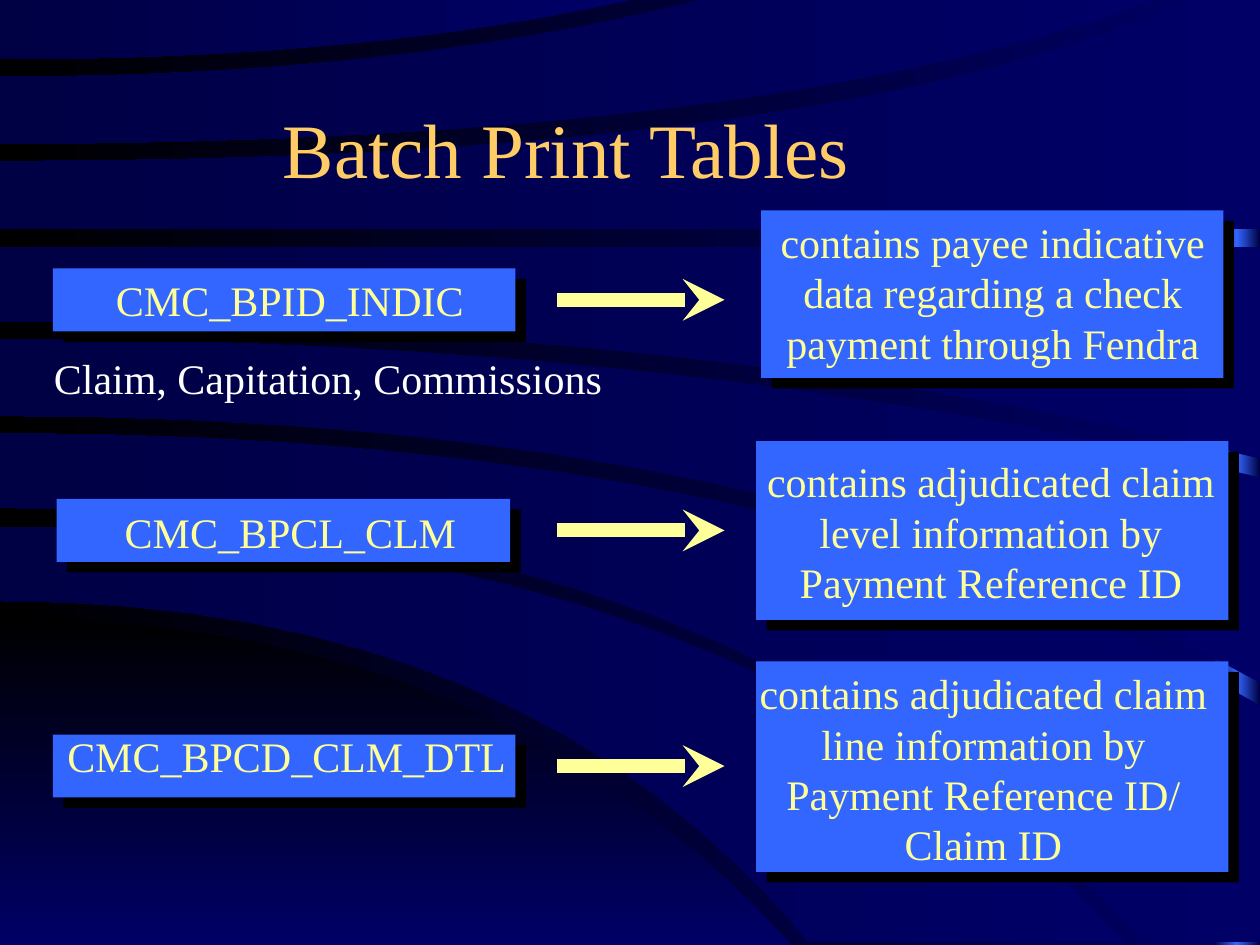
from dataclasses import dataclass

from lxml import etree
from pptx import Presentation
from pptx.dml.color import RGBColor
from pptx.enum.shapes import MSO_CONNECTOR, MSO_SHAPE
from pptx.enum.text import MSO_ANCHOR, MSO_AUTO_SIZE, PP_ALIGN
from pptx.oxml.ns import qn
from pptx.util import Inches, Pt

RECTANGLE = MSO_SHAPE.RECTANGLE
STRAIGHT = MSO_CONNECTOR.STRAIGHT
CENTER, LEFT = PP_ALIGN.CENTER, PP_ALIGN.LEFT


@dataclass(frozen=True)
class Theme:
    font: str = "Times New Roman"
    title_size: int = 44
    body_size: int = 24
    arrow_width: int = 8
    panel_shadow: float = 8.5
    title_shadow: float = 3
    title: str = "FFCC66"
    label: str = "FFFF99"
    note: str = "FFFFFF"
    panel: str = "3366FF"
    black: str = "000000"
    navy: str = "000066"
    deep: str = "000044"


THEME = Theme()

# An edge starts level at the left side: start y, bend x, end x, end y.
CORNER_EDGE = (4.91, 3.98, 6.28, 7.5)
# A band: upper edge, lower edge, slide corners between their ends.
BANDS = [
    ((4.18, 5.93, 8.93, 7.48), (4.77, 4.19, 6.42, 7.48), []),
    ((3.44, 6.4, 10, 5.6), (4.03, 5.87, 9.09, 7.48), [(10, 7.48)]),
    ((2.69, 5.5, 10, 3.79), (3.3, 6.3, 10, 5.42), []),
    ((1.96, 5, 10, 1.96), (2.55, 5.6, 10, 3.64), []),
    ((1.28, 6.66, 9.43, 0), (1.82, 5, 10, 1.82), [(10, 0)]),
    ((0.61, 3.16, 5.56, 0), (1.14, 6.07, 9.17, 0), []),
    ((0, 2.5, 5.01, 0), (0.47, 2.9, 5.01, 0), []),
]

# A row: table panel, its label box, name, wrap, arrow y, description panel, its text box, text.
ROWS = [
    ((0.42, 2.13, 3.67, 0.5), (0.74, 2.13, 3.12, 0.5), "CMC_BPID_INDIC", True, 2.38,
     (6.04, 1.67, 3.67, 1.33), (6.08, 1.67, 3.6, 1.3),
     "contains payee indicative data regarding a check payment through Fendra"),
    ((0.45, 3.96, 3.6, 0.5), (0.89, 3.97, 2.83, 0.5), "CMC_BPCL_CLM", False, 4.21,
     (6, 3.5, 3.75, 1.42), (5.98, 3.57, 3.77, 1.3),
     "contains adjudicated claim level information by Payment Reference ID"),
    ((0.42, 5.83, 3.67, 0.5), (0.33, 5.75, 3.89, 0.5), "CMC_BPCD_CLM_DTL", True, 6.08,
     (6, 5.25, 3.75, 1.67), (5.92, 5.25, 3.77, 1.7),
     "contains adjudicated claim line information by Payment Reference ID/ Claim ID"),
]


def set_gradient(fill, owner, colors, angle):
    """Spread colors evenly; owner is the XML element that holds the fill."""
    fill.gradient()
    fill.gradient_angle = angle
    stops = owner.find(".//" + qn("a:gsLst"))
    stops.clear()
    for i, color in enumerate(colors):
        position = 100000 * i // (len(colors) - 1)
        gs = etree.SubElement(stops, qn("a:gs"), pos=str(position))
        etree.SubElement(gs, qn("a:srgbClr"), val=color)


def drop_shadow(distance):
    effects = etree.Element(qn("a:effectLst"))
    shadow = etree.SubElement(effects, qn("a:outerShdw"), blurRad="0", dist=str(Pt(distance)),
                              dir="2700000", algn="ctr", rotWithShape="0")
    etree.SubElement(shadow, qn("a:srgbClr"), val=THEME.black)
    return effects


def style_font(font, size, color):
    font.name = THEME.font
    font.size = Pt(size)
    font.color.rgb = RGBColor.from_string(color)


def curve(start_y, bend_x, end_x, end_y, steps=16):
    """Points of a quadratic curve that leaves the left side level."""
    return [(2 * t * (1 - t) * bend_x + t * t * end_x, start_y + t * t * (end_y - start_y))
            for t in (i / steps for i in range(steps + 1))]


def add_outline(slide, points):
    corners = [(Inches(x), Inches(y)) for x, y in points]
    builder = slide.shapes.build_freeform(*corners[0])
    builder.add_line_segments(corners[1:], close=True)
    return builder.convert_to_shape()


def decorate_master(master, slide):
    """Draw the background art and move it behind the master's placeholders."""
    set_gradient(master.background.fill, master.element, [THEME.navy, THEME.black], 180)
    strip = slide.shapes.add_shape(RECTANGLE, Inches(9.63), 0, Inches(0.37), Inches(7.5))
    corner = add_outline(slide, curve(*CORNER_EDGE) + [(0, 7.5)])
    art = [(strip, [THEME.deep, THEME.panel, THEME.deep], 180),
           (corner, [THEME.black, THEME.navy], 270)]
    for upper, lower, between in BANDS:
        band = add_outline(slide, curve(*upper) + between + curve(*lower)[::-1])
        art.append((band, [THEME.navy, THEME.deep], 180))
    for i, (sp, colors, angle) in enumerate(art):
        set_gradient(sp.fill, sp.element, colors, angle)
        sp.line.fill.background()
        sp.shadow.inherit = False
        sp.element.nvSpPr.cNvPr.set("id", str(100 + i))
        master.shapes.element.insert(2 + i, sp.element)


def add_title(slide, text):
    title = slide.shapes.title
    title.left, title.top, title.width, title.height = map(Inches, (1.08, 0.67, 6.83, 1))
    tf = title.text_frame
    tf.vertical_anchor = MSO_ANCHOR.MIDDLE
    p = tf.paragraphs[0]
    p.alignment = CENTER
    r = p.add_run()
    r.text = text
    style_font(r.font, THEME.title_size, THEME.title)
    color = title.element.find(".//" + qn("a:rPr")).find(qn("a:solidFill"))
    color.addnext(drop_shadow(THEME.title_shadow))


def add_panel(slide, box):
    sp = slide.shapes.add_shape(RECTANGLE, *map(Inches, box))
    sp.fill.solid()
    sp.fill.fore_color.rgb = RGBColor.from_string(THEME.panel)
    sp.line.fill.background()
    sp.element.spPr.append(drop_shadow(THEME.panel_shadow))


def add_label(slide, box, text, color=THEME.label, align=CENTER, wrap=True):
    tf = slide.shapes.add_textbox(*map(Inches, box)).text_frame
    tf.word_wrap = wrap
    tf.auto_size = MSO_AUTO_SIZE.SHAPE_TO_FIT_TEXT
    p = tf.paragraphs[0]
    p.text = text
    p.alignment = align
    style_font(p.font, THEME.body_size, color)


def add_arrow(slide, y):
    arrow = slide.shapes.add_connector(STRAIGHT, *map(Inches, (4.42, y, 5.75, y)))
    arrow.line.width = Pt(THEME.arrow_width)
    arrow.line.color.rgb = RGBColor.from_string(THEME.label)
    properties = arrow.element.spPr
    etree.SubElement(properties.find(qn("a:ln")), qn("a:tailEnd"), type="stealth")
    etree.SubElement(properties, qn("a:effectLst"))


def main():
    prs = Presentation()
    prs.slide_width, prs.slide_height = Inches(10), Inches(7.5)
    slide = prs.slides.add_slide(prs.slide_layouts[5])
    decorate_master(prs.slide_master, slide)
    add_title(slide, "Batch Print Tables")
    for name_panel, name_box, name, wrap, arrow_y, panel, box, description in ROWS:
        add_panel(slide, name_panel)
        add_label(slide, name_box, name, wrap=wrap)
        add_arrow(slide, arrow_y)
        add_panel(slide, panel)
        add_label(slide, box, description)
    add_label(slide, (0.33, 2.75, 4.55, 0.5), "Claim, Capitation, Commissions",
              THEME.note, LEFT, wrap=False)
    prs.save("out.pptx")


if __name__ == "__main__":
    main()
